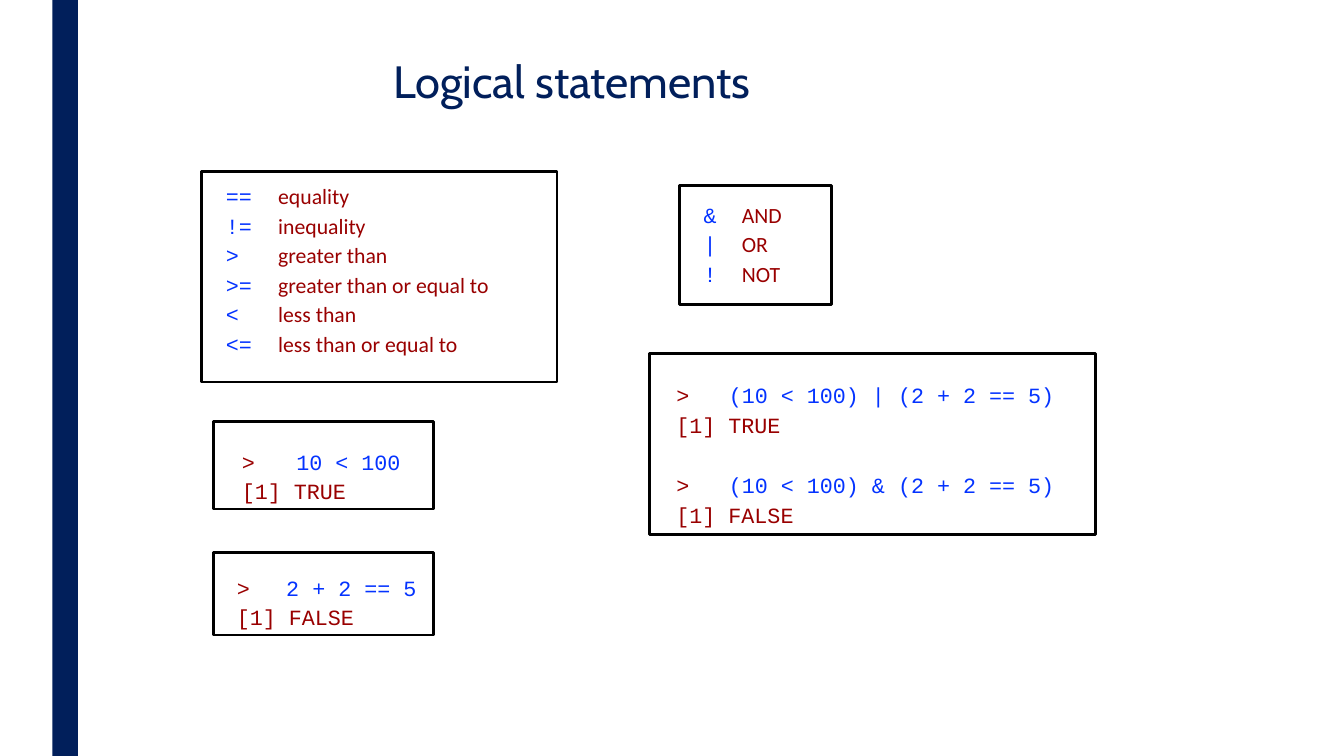
from lxml import etree
from pptx import Presentation
from pptx import util as u
from pptx.dml.color import RGBColor
from pptx.enum import shapes, text
from pptx.oxml.ns import qn

COLORS = {"navy": "011F5B", "blue": "0433FF", "red": "990000", "black": "000000"}
WIDTH, HEIGHT = u.Inches(13.33), u.Inches(7.5)
CODE, PROSE = "Courier New", "Calibri"
TEXT_SIZE = 15.5
LINE_GAP, EXCHANGE_GAP = 2.5, 24.5

COMPARISONS = [("==", "equality"), ("!=", "inequality"), (">", "greater than"),
               (">=", "greater than or equal to"), ("<", "less than"),
               ("<=", "less than or equal to")]
OPERATORS = [("&", "AND"), ("|", "OR"), ("!", "NOT")]


def area(left, top, width, height):
    """Turn hundredths of the slide's width and height into lengths."""
    return [int(share * side / 100) for share, side in
            zip((left, top, width, height), (WIDTH, HEIGHT, WIDTH, HEIGHT))]


def color(name):
    return RGBColor.from_string(COLORS[name])


def set_frame(shape, left=0, top=0):
    """Make a top-anchored text frame with the given insets in inches."""
    frame = shape.text_frame
    frame.word_wrap = True
    frame.auto_size = text.MSO_AUTO_SIZE.NONE
    frame.vertical_anchor = text.MSO_ANCHOR.TOP
    frame.margin_left, frame.margin_top = u.Inches(left), u.Inches(top)
    frame.margin_right = frame.margin_bottom = 0
    return frame


def add_run(paragraph, words, font=CODE, size=TEXT_SIZE, fill="red"):
    run = paragraph.add_run()
    run.text = words
    run.font.name, run.font.size = font, u.Pt(size)
    run.font.bold = False
    run.font.color.rgb = color(fill)


def add_line(frame, first, gap=LINE_GAP, tab=None):
    """Start a left-aligned line, with an optional tab stop in inches."""
    paragraph = frame.paragraphs[0] if first else frame.add_paragraph()
    paragraph.alignment = text.PP_ALIGN.LEFT
    paragraph.space_before = u.Pt(0 if first else gap)
    if tab:
        tabs = etree.SubElement(paragraph._p.get_or_add_pPr(), qn("a:tabLst"))
        etree.SubElement(tabs, qn("a:tab"), pos=str(u.Inches(tab)), algn="l")
    return paragraph


def add_box(slide, place, fill=None, line=None):
    box = slide.shapes.add_shape(shapes.MSO_SHAPE.RECTANGLE, *area(*place))
    box.shadow.inherit = False
    if fill:
        box.fill.solid()
        box.fill.fore_color.rgb = color(fill)
    else:
        box.fill.background()
    if line:
        box.line.color.rgb = color(line)
        box.line.width = u.Pt(2)
    else:
        box.line.fill.background()
    return box


def add_glossary(slide, place, border, entries, tab):
    """Symbols and their meanings in two columns inside a border."""
    frame = set_frame(slide.shapes.add_textbox(*area(*place)))
    for index, (symbol, meaning) in enumerate(entries):
        paragraph = add_line(frame, index == 0, tab=tab)
        add_run(paragraph, symbol + "\t", fill="blue")
        add_run(paragraph, meaning, font=PROSE)
    add_box(slide, border, line="black")


def add_console(slide, place, exchanges, left, top, tab):
    """Prompts with their answers inside a border."""
    frame = set_frame(add_box(slide, place, line="black"), left, top)
    for index, (command, answer) in enumerate(exchanges):
        paragraph = add_line(frame, index == 0, gap=EXCHANGE_GAP, tab=tab)
        add_run(paragraph, ">\t")
        add_run(paragraph, command, fill="blue")
        add_run(add_line(frame, False), answer)


def main():
    presentation = Presentation()
    presentation.slide_width, presentation.slide_height = WIDTH, HEIGHT
    slide = presentation.slides.add_slide(presentation.slide_layouts[5])

    # Side bar and title
    add_box(slide, (3.9, 0, 1.9, 100), fill="navy")
    title = slide.shapes.title
    title.left, title.top, title.width, title.height = area(20.4, 7.07, 55.35, 7.2)
    add_run(add_line(set_frame(title, left=1.18), True), "Logical statements",
            font="Cabin", size=32.3, fill="navy")

    # Symbols
    add_glossary(slide, (16.8, 24.2, 19.58, 23.6), (15, 22.67, 26.45, 27.87),
                 COMPARISONS, 0.52)
    add_glossary(slide, (52.35, 26.67, 11.25, 11.6), (50.57, 24.53, 11.3, 15.73),
                 OPERATORS, 0.38)

    # Console examples
    add_console(slide, (15.9, 55.73, 16.35, 11.6),
                [("10 < 100", "[1] TRUE")], 0.28, 0.27, 0.54)
    add_console(slide, (15.9, 73.07, 16.35, 10.93),
                [("2 + 2 == 5", "[1] FALSE")], 0.23, 0.22, 0.49)
    add_console(slide, (48.3, 46.8, 33.23, 23.87),
                [("(10 < 100) | (2 + 2 == 5)", "[1] TRUE"),
                 ("(10 < 100) & (2 + 2 == 5)", "[1] FALSE")], 0.27, 0.28, 0.52)

    presentation.save("out.pptx")


if __name__ == "__main__":
    main()
